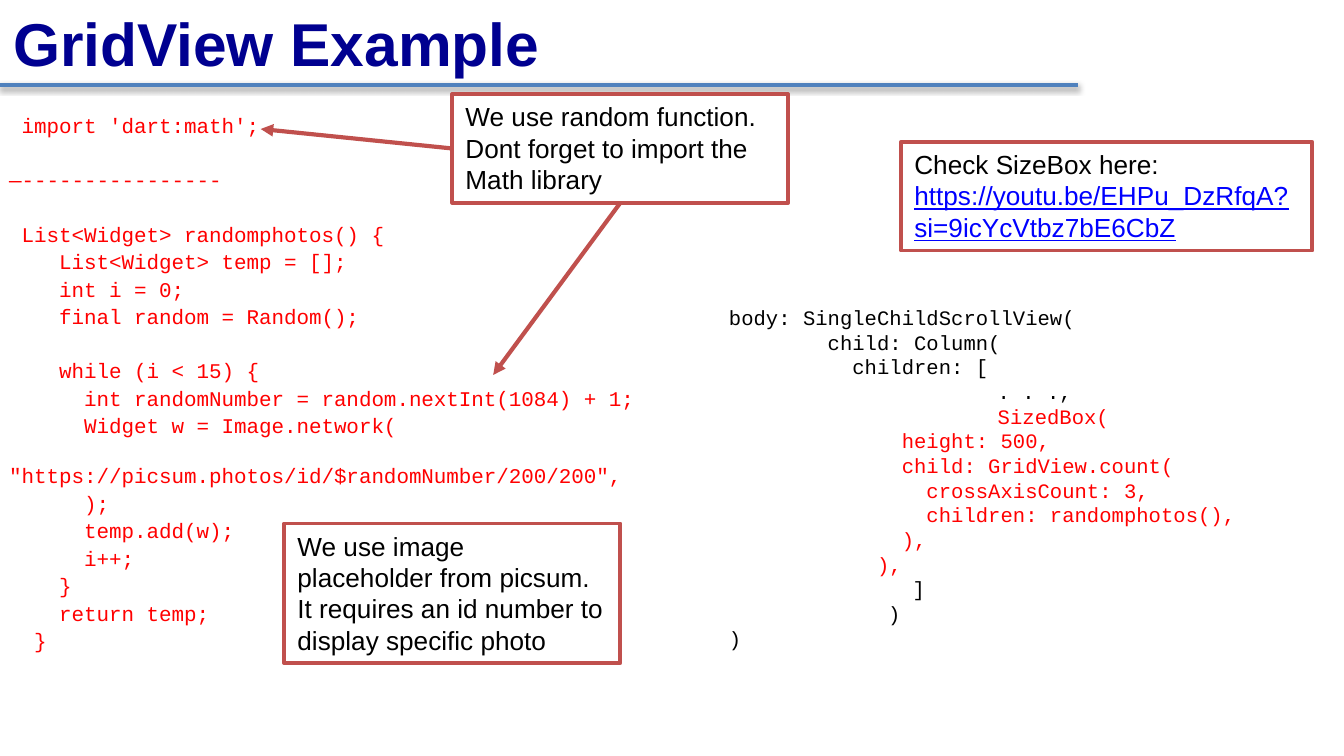
import pptx
import pptx.util
import pptx.dml.color
import pptx.enum.shapes
import pptx.enum.text
import lxml.etree

Pt = pptx.util.Pt
rgb = pptx.dml.color.RGBColor.from_string
A = "{http://schemas.openxmlformats.org/drawingml/2006/main}"

prs = pptx.Presentation()
prs.slide_width = pptx.util.Inches(10)
prs.slide_height = prs.slide_width * 9 // 16
s = prs.slides.add_slide(prs.slide_layouts[6])
col = prs.slide_width / 100
row = prs.slide_height / 56.25


def add_run(p, text, color, **fmt):
    r = p.add_run()
    r.text = text
    for name, value in fmt.items():
        setattr(r.font, name, value)
    r.font.color.rgb = rgb(color)


def add_line(x1, y1, x2, y2, color, width):
    c = s.shapes.add_connector(pptx.enum.shapes.MSO_CONNECTOR.STRAIGHT,
                               int(x1 * col), int(y1 * row), int(x2 * col), int(y2 * row))
    c.line.color.rgb = rgb(color)
    c.line.width = Pt(width)
    effects = lxml.etree.SubElement(c._element.spPr, A + "effectLst")
    return c, effects


boxes = []
for x, y, w, h in [(0, 0, 90, 6.3), (-0.3, 8.1, 51.9, 45.8), (53.25, 21.7, 40.1, 27.9)]:
    sp = s.shapes.add_textbox(int(x * col), int(y * row), int(w * col), int(h * row))
    sp.text_frame.word_wrap = True
    boxes.append(sp.text_frame)
title, left_code, right_code = boxes

title.vertical_anchor = pptx.enum.text.MSO_ANCHOR.MIDDLE
add_run(title.paragraphs[0], "GridView Example", "000090",
        name="Arial", size=Pt(32.4), bold=True)

c, effects = add_line(0, 6.3, 80.2, 6.3, "4F81BD", 2)
shadow = lxml.etree.SubElement(effects, A + "outerShdw", blurRad=str(Pt(3.1)),
                               dist=str(Pt(1.6)), dir="5400000", rotWithShape="0")
black = lxml.etree.SubElement(shadow, A + "srgbClr", val="000000")
lxml.etree.SubElement(black, A + "alpha", val="38000")

function_code = """ import 'dart:math';

—----------------

 List<Widget> randomphotos() {
    List<Widget> temp = [];
    int i = 0;
    final random = Random();

    while (i < 15) {
      int randomNumber = random.nextInt(1084) + 1;
      Widget w = Image.network(
        "https://picsum.photos/id/$randomNumber/200/200",
      );
      temp.add(w);
      i++;
    }
    return temp;
  }"""
gap = 0
p = left_code.paragraphs[0]
for line in function_code.split("\n"):
    if not line:
        gap = 17
        continue
    if p.runs:
        p = left_code.add_paragraph()
        p.space_before = Pt(gap or 2.6)
    gap = 0
    p.line_spacing = 0.9
    add_run(p, line, "FF0000", name="Courier New", size=Pt(11.2))

right_code.margin_top = right_code.margin_bottom = int(row)
body_code = [
    ("body: SingleChildScrollView(", "000000"),
    ("        child: Column(", "000000"),
    ("          children: [", "000000"),
    (" \t\t. . .,", "000000"),
    ("\t\tSizedBox(", "FF0000"),
    ("              height: 500,", "FF0000"),
    ("              child: GridView.count(", "FF0000"),
    ("                crossAxisCount: 3,", "FF0000"),
    ("                children: randomphotos(),", "FF0000"),
    ("              ),", "FF0000"),
    ("            ),", "FF0000"),
    ("\t    ]", "000000"),
    ("\t  )", "000000"),
    (")", "000000"),
]
for i, (line, color) in enumerate(body_code):
    if "SizedBox" in line:
        p.add_line_break()
    else:
        p = right_code.add_paragraph() if i else right_code.paragraphs[0]
        if "\t" in line:
            tabs = lxml.etree.SubElement(p._p.get_or_add_pPr(), A + "tabLst")
            for stop in (1, 2):
                lxml.etree.SubElement(tabs, A + "tab", pos=str(int(stop * 10 * col)), algn="l")
    add_run(p, line, color, name="Courier New", size=Pt(11))

notes = []
for x, y, w, h, text, link in [
    (33.65, 7, 25, 8.1, "We use random function. Dont forget to import the Math library", ""),
    (21.15, 38.95, 25, 10.4, "We use image placeholder from picsum. It requires an id number "
     "to display specific photo", ""),
    (67.05, 10.55, 30.6, 8.1, "Check SizeBox here:",
     "https://youtu.be/EHPu_DzRfqA?si=9icYcVtbz7bE6CbZ"),
]:
    sp = s.shapes.add_shape(pptx.enum.shapes.MSO_SHAPE.RECTANGLE,
                            int(x * col), int(y * row), int(w * col), int(h * row))
    sp.shadow.inherit = False
    sp.fill.solid()
    sp.fill.fore_color.rgb = rgb("FFFFFF")
    sp.line.color.rgb = rgb("C0504D")
    sp.line.width = Pt(2)
    tf = sp.text_frame
    tf.word_wrap = True
    tf.vertical_anchor = pptx.enum.text.MSO_ANCHOR.TOP
    p = tf.paragraphs[0]
    p.alignment = pptx.enum.text.PP_ALIGN.LEFT
    add_run(p, text, "000000", name="Arial", size=Pt(14))
    if link:
        p.add_line_break()
        add_run(p, link, "0000FF", name="Arial", size=Pt(14), underline=True)
    notes.append(sp)

for x1, y1, x2, y2, side in [(33.65, 11, 19.4, 9.6, 1), (46.15, 15.1, 36.7, 27.9, 2)]:
    c, effects = add_line(x1, y1, x2, y2, "C0504D", 2.25)
    c.begin_connect(notes[0], side)
    lxml.etree.SubElement(c._element.spPr.find(A + "ln"), A + "tailEnd", type="triangle")

prs.save("out.pptx")
